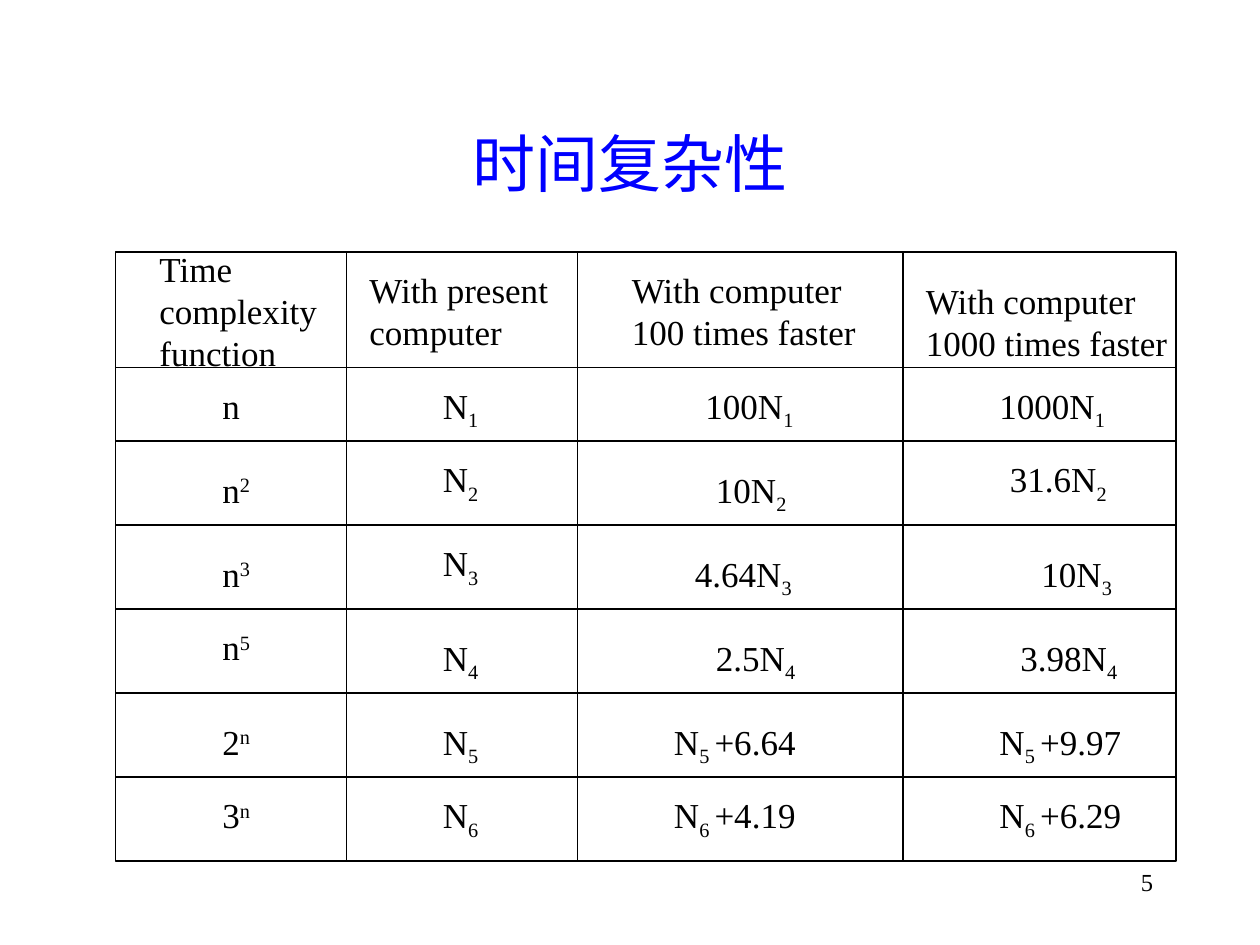
from dataclasses import dataclass

from lxml import etree
from pptx import Presentation
from pptx.dml.color import RGBColor
from pptx.enum.shapes import MSO_CONNECTOR, MSO_SHAPE
from pptx.enum.text import MSO_ANCHOR, MSO_AUTO_SIZE, PP_ALIGN
from pptx.oxml.ns import qn
from pptx.util import Inches, Pt

STRAIGHT = MSO_CONNECTOR.STRAIGHT
RECTANGLE = MSO_SHAPE.RECTANGLE
MIDDLE = MSO_ANCHOR.MIDDLE
FIT_SHAPE = MSO_AUTO_SIZE.SHAPE_TO_FIT_TEXT
CENTER, LEFT, RIGHT = PP_ALIGN.CENTER, PP_ALIGN.LEFT, PP_ALIGN.RIGHT
TITLE_ONLY = 5


@dataclass(frozen=True)
class Theme:
    font: str = "Times New Roman"
    title_color: RGBColor = RGBColor(0, 0, 255)
    ink: RGBColor = RGBColor(0, 0, 0)
    title_size: Pt = Pt(36)
    body_size: Pt = Pt(20)
    number_size: Pt = Pt(14)
    rule: Pt = Pt(0.75)


THEME = Theme()
BASELINES = {"^": "30000", "_": "-25000"}

deck = Presentation()
deck.slide_width, deck.slide_height = Inches(10), Inches(7.5)
page = deck.slides.add_slide(deck.slide_layouts[TITLE_ONLY])

# The page is a grid of 120 by 90 square units.
UNIT = deck.slide_width / 120


def units(*counts):
    return [round(count * UNIT) for count in counts]


def write(frame, lines, size, color=THEME.ink, align=LEFT):
    """Fill a text frame; "|" splits a line into spans, a leading ^ or _ raises or lowers one."""
    for index, line in enumerate(lines):
        para = frame.add_paragraph() if index else frame.paragraphs[0]
        para.alignment = align
        para.font.name = THEME.font
        para.font.size = size
        para.font.color.rgb = color
        for part in line.split("|"):
            span = para.add_run()
            span.text = part.lstrip("^_")
            if part[0] in BASELINES:
                span._r.get_or_add_rPr().set("baseline", BASELINES[part[0]])


# Title and page number
title = page.shapes.title
title.left, title.top, title.width, title.height = units(9, 8, 102, 15)
title.text_frame.vertical_anchor = MIDDLE
write(title.text_frame, ["时间复杂性"], THEME.title_size, THEME.title_color, CENTER)

number_box = page.shapes.add_textbox(*units(86, 82, 25, 6))
number_box.text_frame.word_wrap = True
write(number_box.text_frame, ["5"], THEME.number_size, align=RIGHT)

# Ruled grid: outer frame, then the inner rules
column_edges = [11, 33, 55, 86, 112]
row_edges = [24, 35] + list(range(42, 83, 8))
left, right = column_edges[0], column_edges[-1]
top, bottom = row_edges[0], row_edges[-1]

outline = page.shapes.add_shape(RECTANGLE, *units(left, top, right - left, bottom - top))
outline.shadow.inherit = False
outline.fill.background()
outline.line.color.rgb = THEME.ink
outline.line.width = THEME.rule

inner_rules = [(left, y, right, y) for y in row_edges[1:-1]]
inner_rules += [(x, top, x, bottom) for x in column_edges[1:-1]]
for ends in inner_rules:
    rule = page.shapes.add_connector(STRAIGHT, *units(*ends))
    rule.line.color.rgb = THEME.ink
    rule.line.width = THEME.rule
    etree.SubElement(rule._element.spPr, qn("a:effectLst"))

# Entries by column: left, top and width in units, then the text
columns = [
    [
        (14, 23, 17.6, "Time\ncomplexity\nfunction"),
        (20, 36, 4.2, "n"),
        (20, 44, 5.2, "n|^2"),
        (20, 52, 5.2, "n|^3"),
        (20, 59, 5.2, "n|^5"),
        (20, 68, 5.2, "2|^n"),
        (20, 75, 5.2, "3|^n"),
    ],
    [
        (34, 25, 19.8, "With present\ncomputer"),
        (41, 36, 6, "N|_1"),
        (41, 43, 6, "N|_2"),
        (41, 51, 6, "N|_3"),
        (41, 60, 6, "N|_4"),
        (41, 68, 6, "N|_5"),
        (41, 75, 6, "N|_6"),
    ],
    [
        (59, 25, 24, "With computer\n100 times faster"),
        (66, 36, 11, "100N|_1"),
        (67, 44, 9.3, "10N|_2"),
        (65, 52, 11.8, "4.64N|_3"),
        (67, 60, 10.2, "2.5N|_4"),
        (63, 68, 14.3, "N|_5 |+6.64"),
        (63, 75, 14.3, "N|_6 |+4.19"),
    ],
    [
        (87, 26, 25.8, "With computer\n1000 times faster"),
        (94, 36, 12.7, "1000N|_1"),
        (95, 43, 11.8, "31.6N|_2"),
        (98, 52, 9.3, "10N|_3"),
        (96, 60, 11.8, "3.98N|_4"),
        (94, 68, 14.3, "N|_5 |+9.97"),
        (94, 75, 14.3, "N|_6 |+6.29"),
    ],
]
LINE_HEIGHT, PADDING, SUBSCRIPT_DROP = 4, 1.3, 0.5

for column in columns:
    for x, y, width, text in column:
        lines = text.split("\n")
        height = LINE_HEIGHT * len(lines) + PADDING + SUBSCRIPT_DROP * ("_" in text)
        box = page.shapes.add_textbox(*units(x, y, width, height))
        box.text_frame.word_wrap = False
        box.text_frame.auto_size = FIT_SHAPE
        write(box.text_frame, lines, THEME.body_size)

deck.save("out.pptx")
